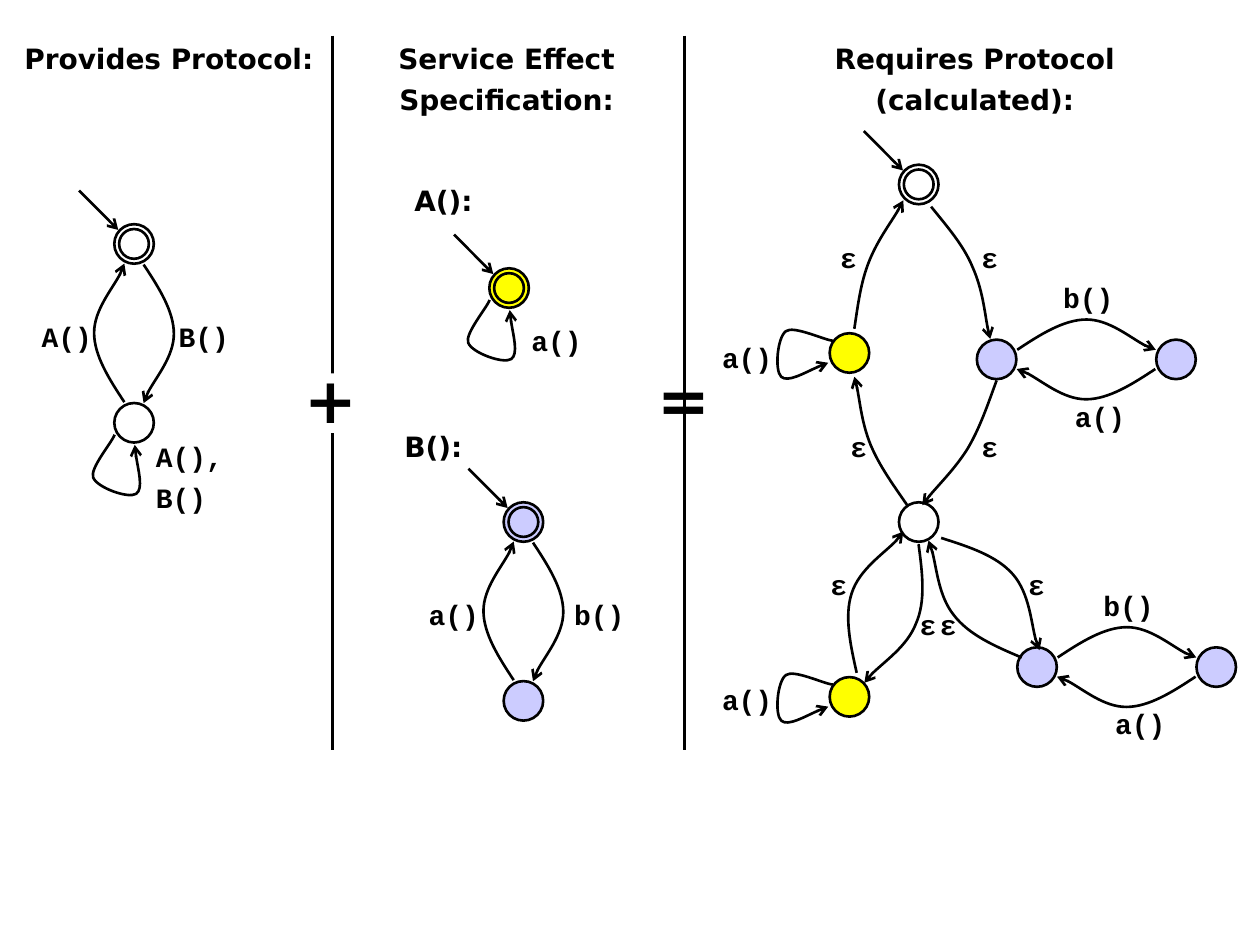
import math
import pptx
import pptx.dml.color
import pptx.enum.shapes
import pptx.enum.text
import pptx.oxml
import pptx.oxml.ns
import pptx.util

Pt = pptx.util.Pt
BLACK, WHITE, YELLOW, LILAC = "000000", "FFFFFF", "FFFF00", "CCCCFF"
LEFT, CENTER, RIGHT = (pptx.enum.text.PP_ALIGN.LEFT, pptx.enum.text.PP_ALIGN.CENTER,
                       pptx.enum.text.PP_ALIGN.RIGHT)
MONO, SANS = "Courier New", "DejaVu Sans"
OVAL = pptx.enum.shapes.MSO_SHAPE.OVAL
STRAIGHT = pptx.enum.shapes.MSO_CONNECTOR.STRAIGHT


def color(hex_code):
    return pptx.dml.color.RGBColor.from_string(hex_code)


def draw_stroke(stroke, arrow=False):
    """Black 1.5 pt line without shadow, with an open arrowhead on request."""
    stroke.line.color.rgb = color(BLACK)
    stroke.line.width = Pt(1.5)
    if arrow:
        head = pptx.oxml.parse_xml(
            f'<a:tailEnd {pptx.oxml.ns.nsdecls("a")} type="arrow"/>')
        stroke.line._get_or_add_ln().append(head)
    properties = stroke._element.spPr
    if properties.find(pptx.oxml.ns.qn("a:effectLst")) is None:
        properties.append(pptx.oxml.parse_xml(
            f'<a:effectLst {pptx.oxml.ns.nsdecls("a")}/>'))


prs = pptx.Presentation()
prs.slide_width, prs.slide_height = Pt(720), Pt(540)
slide = prs.slides.add_slide(prs.slide_layouts[6])
shapes = slide.shapes

# Column dividers, with a gap for the plus sign
for x in (391, 190):
    draw_stroke(shapes.add_connector(STRAIGHT, Pt(x), Pt(20.4), Pt(x), Pt(428.4)))
gap = shapes.add_shape(pptx.enum.shapes.MSO_SHAPE.RECTANGLE,
                       Pt(178.6), Pt(213.4), Pt(22.6), Pt(34))
gap.shadow.inherit = False
gap.fill.solid()
gap.fill.fore_color.rgb = color(WHITE)
gap.line.fill.background()

# State centres
provides_start, provides_end = (76.6, 139.4), (76.6, 241.6)
a_start = (290.9, 164.6)
b_start, b_end = (299.1, 298.3), (299.1, 400.5)
requires_start, requires_hub = (525, 105.4), (525, 298.3)
yellow_top, yellow_bottom = (485.4, 201.7), (485.4, 398.2)
lilac_top, lilac_top_end = (569.5, 205.4), (672, 205.4)
lilac_bottom, lilac_bottom_end = (592.6, 381.2), (695, 381.2)

# States: centre, fill, whether it is a double-ringed start
states = [
    (provides_start, None, True), (provides_end, None, False),
    (a_start, YELLOW, True), (b_start, LILAC, True), (b_end, LILAC, False),
    (requires_start, None, True), (requires_hub, None, False),
    (yellow_top, YELLOW, False), (yellow_bottom, YELLOW, False),
    (lilac_top, LILAC, False), (lilac_top_end, LILAC, False),
    (lilac_bottom, LILAC, False), (lilac_bottom_end, LILAC, False),
]
for (x, y), fill, is_start in states:
    for size in (22.6, 17) if is_start else (22.6,):
        ring = shapes.add_shape(OVAL, Pt(x - size / 2), Pt(y - size / 2), Pt(size), Pt(size))
        if fill:
            ring.fill.solid()
            ring.fill.fore_color.rgb = color(fill)
        else:
            ring.fill.background()
        draw_stroke(ring)
    if is_start:
        entry = shapes.add_connector(STRAIGHT, Pt(x - 31.4), Pt(y - 30.5), Pt(x - 9), Pt(y - 8))
        draw_stroke(entry, arrow=True)

# Transitions as Bezier points; bow and loop are relative to their state
bow = [(5.5, 11.8), (14.1, 24.8), (22.8, 38.4), (22.8, 51.4),
       (22.8, 64.4), (6.2, 84.5), (5.5, 91)]
loop = [(-11.1, 6.8), (-12.5, 11.1), (-25.5, 26.2), (-23.3, 31.3), (-21.2, 37),
        (-3.2, 43.5), (1.2, 40.6), (5.5, 37.8), (0.4, 18.3), (0.4, 12.6)]
epsilons = [
    [(518.4, 288.7), (510.5, 277.2), (502.6, 266.4), (497.5, 254.2),
     (492.5, 241.9), (490.3, 221), (488.2, 215.3)],
    [(524.9, 311), (527, 326.9), (529.2, 343.4), (523.4, 356.4),
     (518.4, 369.4), (497.5, 383.8), (493.9, 390.2)],
    [(488.2, 187.9), (490.3, 174.2), (491.8, 161.3), (496.8, 149),
     (501.8, 136.8), (514.1, 120.2), (516.2, 114.5)],
    [(532.1, 118.1), (541.4, 129.6), (550.8, 140.4), (555.8, 152.6),
     (561.6, 165.6), (563.8, 187.2), (565.9, 193.7)],
    [(569.5, 217.4), (564.5, 231.1), (560.2, 244.1), (553, 256.3),
     (545.8, 267.8), (530.6, 283), (527, 288.7)],
    [(489.6, 384.5), (486, 368.6), (482.4, 352.1), (486.7, 339.1),
     (491, 325.4), (513.4, 310.3), (516.2, 303.8)],
    [(583.9, 375.8), (568.8, 369.4), (553.7, 362.9), (545, 351.4),
     (536.4, 340.6), (534.2, 315.4), (530.6, 308.9)],
    [(537.8, 307.4), (553.7, 312.5), (569.5, 317.5), (578.9, 328.3),
     (588.2, 339.1), (590.4, 365.8), (594, 371.5)],
]
transitions = [
    (provides_start, 0, bow), (provides_end, 180, bow), (provides_end, 0, loop),
    (a_start, 0, loop), (b_start, 0, bow), (b_end, 180, bow),
    (lilac_top, -90, bow), (lilac_top_end, 90, bow),
    (lilac_bottom, -90, bow), (lilac_bottom_end, 90, bow),
]
transitions += [((x, y + 2), 75, loop) for x, y in (yellow_top, yellow_bottom)]
transitions += [((0, 0), 0, points) for points in epsilons]
for (x, y), degrees, points in transitions:
    cos, sin = math.cos(math.radians(degrees)), math.sin(math.radians(degrees))
    turned = [(Pt(x + px * cos - py * sin), Pt(y + px * sin + py * cos)) for px, py in points]
    builder = shapes.build_freeform(*turned[0])
    builder.add_line_segments(turned[1:], close=False)
    transition = builder.convert_to_shape()
    # Every three line segments become one cubic Bezier segment
    segments = transition._element.findall(".//" + pptx.oxml.ns.qn("a:lnTo"))
    for i in range(0, len(segments), 3):
        cubic = pptx.oxml.parse_xml(f'<a:cubicBezTo {pptx.oxml.ns.nsdecls("a")}/>')
        segments[i].addprevious(cubic)
        for segment in segments[i:i + 3]:
            cubic.append(segment[0])
            segment.getparent().remove(segment)
    transition.fill.background()
    draw_stroke(transition, arrow=True)

# Texts: wording, left, top, width, height, alignment, font, size
texts = [
    ("Provides Protocol:", 3, 20.2, 187, 28, CENTER, SANS, 16),
    ("Service Effect\nSpecification:", 190, 20.2, 199, 51, CENTER, SANS, 16),
    ("Requires Protocol\n(calculated):", 394, 20.2, 326, 51, CENTER, SANS, 16),
    ("A():", 229.7, 101.5, 102, 28, LEFT, SANS, 16),
    ("B():", 224, 242, 102, 28, LEFT, SANS, 16),
    ("+", 167, 202.3, 39.6, 45.4, CENTER, SANS, 36),
    ("=", 368.6, 202.3, 39.6, 45.4, CENTER, SANS, 36),
    ("A(),\nB()", 82, 247.7, 62, 51, LEFT, MONO, 16),
]
labels = [
    ("B()", 95, 179.3, 50, 28, LEFT), ("A()", 8.6, 179.3, 51, 28, RIGHT),
    ("a()", 296.6, 181.4, 57, 22.4, LEFT),
    ("b()", 321, 337.7, 50, 28, LEFT), ("a()", 229.7, 337.7, 51, 28, RIGHT),
    ("a()", 397.4, 190.8, 51, 22.4, RIGHT), ("a()", 403, 386.6, 45.4, 22.4, RIGHT),
    ("b()", 600.5, 157, 50, 28, LEFT), ("a()", 599, 224.6, 51, 28, RIGHT),
    ("b()", 623.5, 332.6, 50, 28, LEFT), ("a()", 622, 400.3, 51, 28, RIGHT),
]
labels += [("ε", x, y, 45.4, 22.4, align) for x, y, align in (
    (457.2, 242, RIGHT), (451.4, 134, RIGHT), (445.7, 321, RIGHT),
    (553.7, 134, LEFT), (553.7, 242, LEFT), (496.8, 343.4, RIGHT),
    (508.3, 343.4, RIGHT), (558.7, 321, RIGHT))]
texts += [label + (MONO, 16) for label in labels]
for wording, left, top, width, height, align, font, size in texts:
    frame = shapes.add_textbox(Pt(left), Pt(top), Pt(width), Pt(height)).text_frame
    frame.word_wrap = True
    frame.text = wording
    for paragraph in frame.paragraphs:
        paragraph.alignment = align
        paragraph.space_before = Pt(size / 4)
        paragraph.font.name = font
        paragraph.font.size = Pt(size)
        paragraph.font.bold = True
        paragraph.font.color.rgb = color(BLACK)

prs.save("out.pptx")
